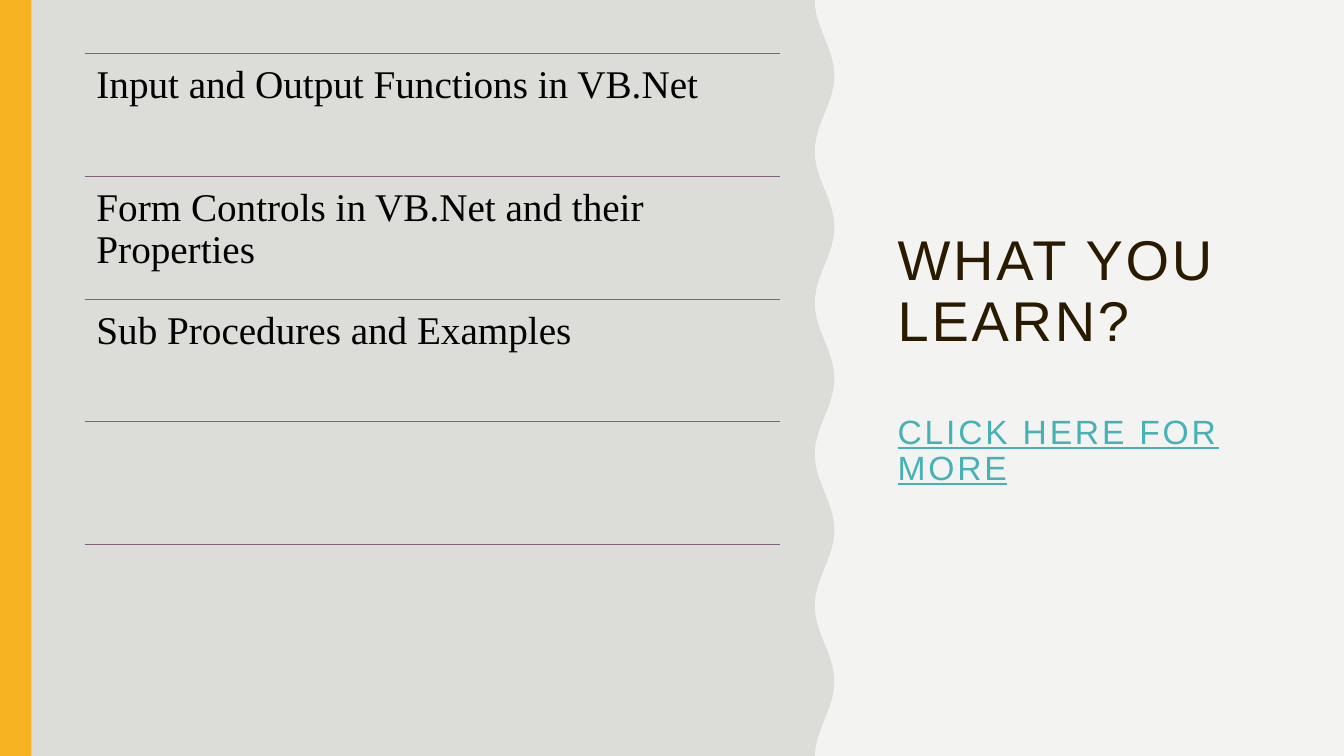
from math import cos, pi

from lxml.etree import SubElement
from pptx import Presentation
from pptx.dml.color import RGBColor
from pptx.enum.shapes import MSO_CONNECTOR as Connector, MSO_SHAPE as Preset
from pptx.enum.text import MSO_ANCHOR as Anchor, MSO_AUTO_SIZE as AutoSize, PP_ALIGN as Align
from pptx.oxml.ns import qn
from pptx.util import Pt

PAPER = RGBColor(0xF3, 0xF3, 0xF2)
PANEL = RGBColor(0xDC, 0xDC, 0xD9)
ACCENT = RGBColor(0xF8, 0xB3, 0x23)
HEADING = RGBColor(0x2A, 0x1A, 0x00)
LINK = RGBColor(0x46, 0xB2, 0xB5)
RULE = RGBColor(0x82, 0x62, 0x76)
BLACK = RGBColor(0, 0, 0)

TOPICS = [
    "Input and Output Functions in VB.Net",
    "Form Controls in VB.Net and their Properties",
    "Sub Procedures and Examples",
]
DIVIDER_COUNT = 5


def paint(shape, color):
    """Give a shape a flat fill with no outline or shadow."""
    shape.fill.solid()
    shape.fill.fore_color.rgb = color
    shape.line.fill.background()
    shape.shadow.inherit = False


def add_wavy_panel(slide, left, top, width, height):
    """Draw the grey panel with a wavy right edge and an accent bar on its left."""
    depth, period, step = 14, 108.2, 4.5
    right = left + width
    edge = []
    for index in range(int(height / step) + 1):
        drop = index * step
        inset = depth * (1 + cos(2 * pi * drop / period)) / 2
        edge.append((Pt(right - inset), Pt(top + drop)))

    outline = slide.shapes.build_freeform(Pt(left), Pt(top))
    outline.add_line_segments(edge + [(Pt(left), Pt(top + height))], close=True)
    paint(outline.convert_to_shape(), PANEL)

    bar = slide.shapes.add_shape(Preset.RECTANGLE, Pt(left), Pt(top), Pt(22.5), Pt(height))
    paint(bar, ACCENT)


def add_divider(slide, left, top, width):
    """Draw one thin horizontal rule."""
    divider = slide.shapes.add_connector(
        Connector.STRAIGHT, Pt(left), Pt(top), Pt(left + width), Pt(top))
    divider.line.color.rgb = RULE
    divider.line.width = Pt(0.5)
    SubElement(divider._element.spPr, qn("a:effectLst"))


def add_topic(slide, topic, left, top, width, height):
    """Write one topic in the row below its divider."""
    box = slide.shapes.add_textbox(Pt(left), Pt(top), Pt(width), Pt(height))
    frame = box.text_frame
    frame.word_wrap = True
    frame.margin_left = frame.margin_right = Pt(8.4)
    frame.margin_top = frame.margin_bottom = Pt(8.4)
    line = frame.paragraphs[0]
    line.text = topic
    line.line_spacing = 0.9
    line.font.name = "Times New Roman"
    line.font.size = Pt(28)
    line.font.color.rgb = BLACK


def add_topics(slide, left, top, width, height):
    """Stack the dividers evenly and fill the rows with topics."""
    pitch = height / (DIVIDER_COUNT - 1)
    for row in range(DIVIDER_COUNT):
        add_divider(slide, left, top + row * pitch, width)
    for row, topic in enumerate(TOPICS):
        add_topic(slide, topic, left, top + row * pitch, width, pitch)


def add_heading(slide, left, top, width, height):
    """Fill the title placeholder with the question and the prompt below it."""
    title = slide.shapes.title
    title.left, title.top = Pt(left), Pt(top)
    title.width, title.height = Pt(width), Pt(height)
    frame = title.text_frame
    frame.word_wrap = True
    frame.auto_size = AutoSize.NONE
    frame.vertical_anchor = Anchor.MIDDLE
    question, prompt = frame.paragraphs[0], frame.add_paragraph()
    for line, words, size, color in (
        (question, "WHAT YOU LEARN?", 40, HEADING),
        (prompt, "CLICK HERE FOR MORE", 24, LINK),
    ):
        run = line.add_run()
        run.text = words
        run._r.get_or_add_rPr().set("spc", "200")
        line.alignment = Align.LEFT
        line.line_spacing = 0.9
        line.space_before = Pt(0)
        line.font.name = "Arial"
        line.font.size = Pt(size)
        line.font.color.rgb = color
    prompt.space_before = Pt(44)
    prompt.font.underline = True


def main():
    """Build the slide and save it."""
    deck = Presentation()
    deck.slide_width, deck.slide_height = Pt(960), Pt(540)
    slide = deck.slides.add_slide(deck.slide_layouts[5])
    slide.background.fill.solid()
    slide.background.fill.fore_color.rgb = PAPER
    add_wavy_panel(slide, 0, 0, 596, 540)
    add_heading(slide, 634, 38, 288, 438.5)
    add_topics(slide, 60.5, 38, 496.5, 351)
    deck.save("out.pptx")


if __name__ == "__main__":
    main()
